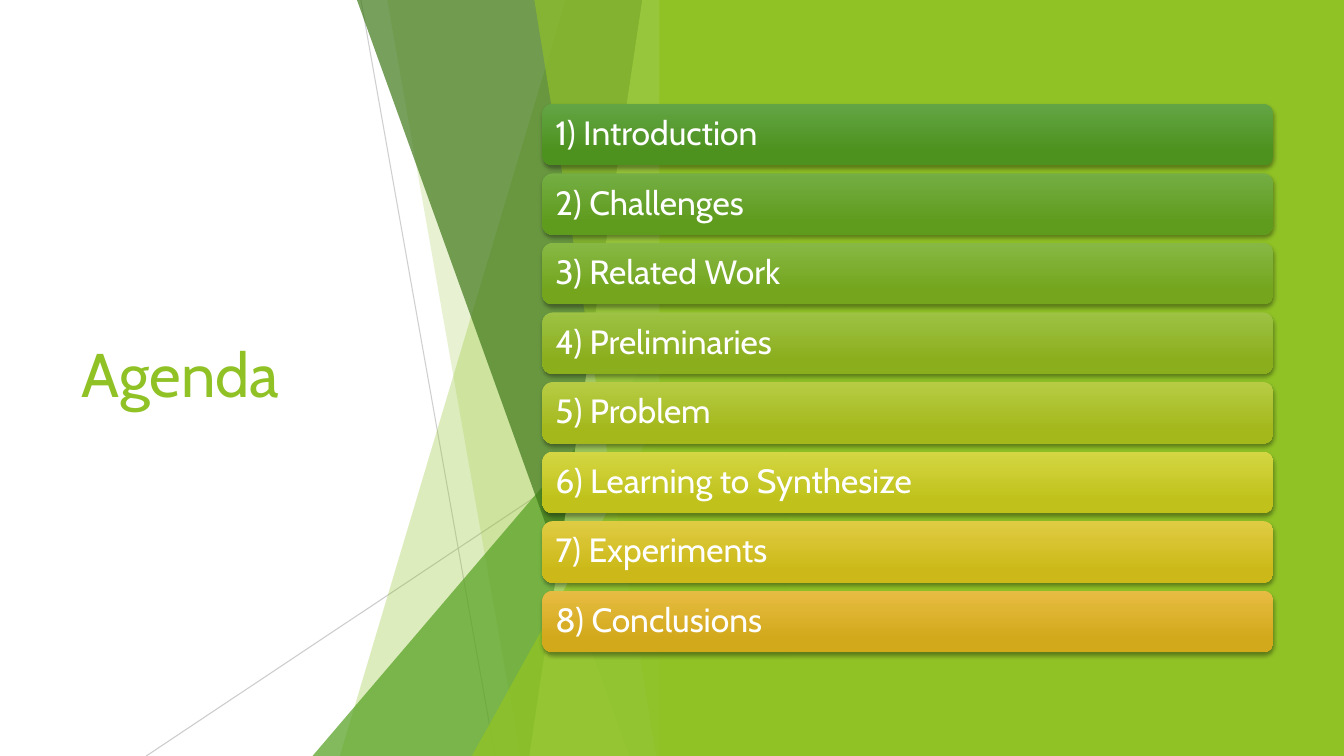
from lxml.etree import SubElement
from pptx import Presentation
from pptx.dml.color import RGBColor
from pptx.enum.shapes import MSO_CONNECTOR, MSO_SHAPE as SHAPE
from pptx.enum.text import MSO_ANCHOR as ANCHOR, PP_ALIGN as ALIGN
from pptx.oxml.ns import qn
from pptx.util import Inches, Pt

FONT = "Cabin"
WHITE = RGBColor(0xFF, 0xFF, 0xFF)
GREY = RGBColor(0xBF, 0xBF, 0xBF)
LIME = RGBColor(0x90, 0xC2, 0x26)
GREEN = RGBColor(0x54, 0xA0, 0x21)
DARK_GREEN = RGBColor(0x3F, 0x78, 0x19)
PALE_LIME = RGBColor(0xC0, 0xE4, 0x74)

SLIDE_W, SLIDE_H = 13.33, 7.5
FAN_RIGHT = 6.66
BAR_LEFT, BAR_TOP, BAR_W, BAR_H, BAR_STEP = 5.38, 1.03, 7.25, 0.61, 0.69

AGENDA = [
    ("Introduction", RGBColor(0x63, 0xA5, 0x45), RGBColor(0x4D, 0x92, 0x1E)),
    ("Challenges", RGBColor(0x74, 0xAE, 0x44), RGBColor(0x5F, 0x9C, 0x1E)),
    ("Related Work", RGBColor(0x87, 0xB8, 0x44), RGBColor(0x74, 0xA5, 0x1D)),
    ("Preliminaries", RGBColor(0x9D, 0xC2, 0x44), RGBColor(0x8B, 0xAE, 0x1D)),
    ("Problem", RGBColor(0xB7, 0xCC, 0x44), RGBColor(0xA4, 0xB8, 0x1C)),
    ("Learning to Synthesize", RGBColor(0xD4, 0xD6, 0x43), RGBColor(0xC0, 0xC2, 0x1B)),
    ("Experiments", RGBColor(0xE0, 0xCC, 0x43), RGBColor(0xCC, 0xB9, 0x19)),
    ("Conclusions", RGBColor(0xE7, 0xBC, 0x43), RGBColor(0xD2, 0xA9, 0x1B)),
]


def set_alpha(sp, percent):
    for clr in sp.element.spPr.iter(qn("a:srgbClr")):
        SubElement(clr, qn("a:alpha"), val=str(percent * 1000))


def paint(sp, color, alpha=100):
    sp.fill.solid()
    sp.fill.fore_color.rgb = color
    sp.line.fill.background()
    sp.shadow.inherit = False
    if alpha < 100:
        set_alpha(sp, alpha)


def add_line(shapes, x1, y1, x2, y2, alpha):
    line = shapes.add_connector(
        MSO_CONNECTOR.STRAIGHT, Inches(x1), Inches(y1), Inches(x2), Inches(y2))
    line.line.color.rgb = GREY
    line.line.width = Pt(0.75)
    set_alpha(line, alpha)
    SubElement(line.element.spPr, qn("a:effectLst"))


def add_blade(shapes, top_x, bottom_x, color, alpha):
    corners = [(FAN_RIGHT, 0), (FAN_RIGHT, SLIDE_H), (bottom_x, SLIDE_H)]
    fb = shapes.build_freeform(Inches(top_x), 0)
    fb.add_line_segments([(Inches(x), Inches(y)) for x, y in corners])
    paint(fb.convert_to_shape(), color, alpha)


def add_triangle(shapes, left, top, color, alpha):
    sp = shapes.add_shape(
        SHAPE.ISOSCELES_TRIANGLE, Inches(left), Inches(top),
        Inches(FAN_RIGHT - left), Inches(SLIDE_H - top))
    sp.adjustments[0] = 1
    paint(sp, color, alpha)


def add_fan(shapes):
    add_line(shapes, 3.58, 0, 4.91, SLIDE_H, 75)
    add_line(shapes, FAN_RIGHT, 4.03, 1.45, SLIDE_H, 80)
    add_blade(shapes, 5.61, 3.37, LIME, 30)
    add_blade(shapes, 3.84, 5.16, LIME, 20)
    add_triangle(shapes, 3.1, 3.33, GREEN, 72)
    add_blade(shapes, 3.54, 6.24, DARK_GREEN, 70)
    add_blade(shapes, 6.37, 5.25, PALE_LIME, 70)
    add_blade(shapes, 5.3, 6.51, LIME, 65)
    add_triangle(shapes, 4.68, 3.93, LIME, 80)


def add_panel(shapes):
    left = 6.54
    sp = shapes.add_shape(
        SHAPE.RECTANGLE, Inches(left), 0, Inches(SLIDE_W - left), Inches(SLIDE_H))
    paint(sp, LIME)


def add_drop_shadow(sp):
    sp.shadow.inherit = False
    effects = sp.element.spPr.find(qn("a:effectLst"))
    shadow = SubElement(
        effects, qn("a:outerShdw"), blurRad=str(Pt(3)), dist=str(Pt(2)),
        dir="5400000", rotWithShape="0")
    clr = SubElement(shadow, qn("a:srgbClr"), val="000000")
    SubElement(clr, qn("a:alpha"), val="35000")


def format_text(tf, size, color):
    tf.word_wrap = True
    tf.vertical_anchor = ANCHOR.MIDDLE
    p = tf.paragraphs[0]
    p.alignment = ALIGN.LEFT
    p.line_spacing = 0.9
    font = p.runs[0].font
    font.name = FONT
    font.size = Pt(size)
    font.color.rgb = color


def add_bar(shapes, index, label, light, dark):
    sp = shapes.add_shape(
        SHAPE.ROUNDED_RECTANGLE, Inches(BAR_LEFT), Inches(BAR_TOP + index * BAR_STEP),
        Inches(BAR_W), Inches(BAR_H))
    sp.fill.gradient()
    sp.fill.gradient_angle = 270
    for stop, position, color in zip(sp.fill.gradient_stops, (0, 0.78), (light, dark)):
        stop.position = position
        stop.color.rgb = color
    sp.line.fill.background()
    add_drop_shadow(sp)
    tf = sp.text_frame
    tf.text = f"{index + 1}) {label}"
    tf.margin_left = tf.margin_right = Inches(0.1)
    format_text(tf, 24, WHITE)


def set_title(title):
    title.left, title.top = Inches(0.71), Inches(1.51)
    title.width, title.height = Inches(3.88), Inches(4.48)
    title.text_frame.text = "Agenda"
    format_text(title.text_frame, 44, LIME)


def main():
    prs = Presentation()
    prs.slide_width, prs.slide_height = Inches(SLIDE_W), Inches(SLIDE_H)
    s = prs.slides.add_slide(prs.slide_layouts[5])
    s.background.fill.solid()
    s.background.fill.fore_color.rgb = WHITE
    set_title(s.shapes.title)
    add_fan(s.shapes)
    add_panel(s.shapes)
    for index, (label, light, dark) in enumerate(AGENDA):
        add_bar(s.shapes, index, label, light, dark)
    prs.save("out.pptx")


if __name__ == "__main__":
    main()
